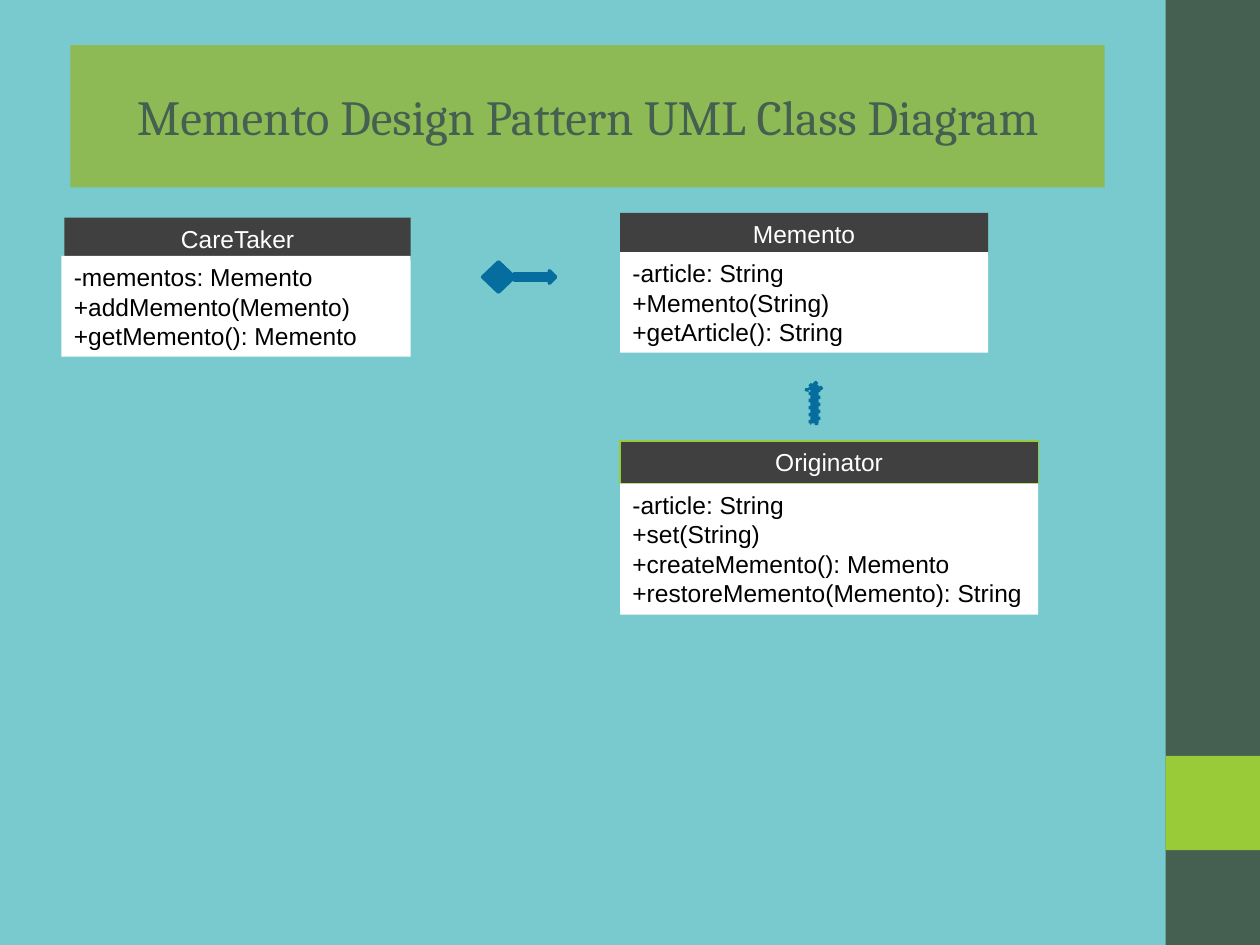
from pptx import Presentation
from pptx.dml.color import RGBColor
from pptx.enum.dml import MSO_LINE
from pptx.enum.shapes import MSO_SHAPE as Shape
from pptx.enum.text import MSO_ANCHOR as Anchor, MSO_AUTO_SIZE as AutoSize, PP_ALIGN as Align
from pptx.util import Cm, Pt

COLORS = {
    "background": "78CACF", "sidebar": "455F51", "accent": "99CB38",
    "title": "8DBA55", "header": "404040", "arrow": "066E9F",
    "white": "FFFFFF", "black": "000000",
}
TITLE = "Memento Design Pattern UML Class Diagram"
CLASSES = [
    {"name": "CareTaker", "head": (1.3, 4.39, 6.98), "body": (1.24, 5.16, 7.04), "border": None,
     "members": ["-mementos: Memento", "+addMemento(Memento)", "+getMemento(): Memento"]},
    {"name": "Memento", "head": (12.5, 4.29, 7.42), "body": (12.5, 5.08, 7.42), "border": None,
     "members": ["-article: String", "+Memento(String)", "+getArticle(): String"]},
    {"name": "Originator", "head": (12.5, 8.89, 8.43), "body": (12.5, 9.75, 8.43), "border": "accent",
     "members": ["-article: String", "+set(String)", "+createMemento(): Memento",
                 "+restoreMemento(Memento): String"]},
]
RELATIONS = [
    (Shape.RIGHT_ARROW, (16, 7.95, 0.84, 0.33), 270, MSO_LINE.ROUND_DOT),
    (Shape.RIGHT_ARROW, (10.36, 5.46, 0.84, 0.25), 0, None),
    (Shape.FLOWCHART_DECISION, (9.73, 5.28, 0.64, 0.61), 0, None),
]
HEAD_HEIGHT, LINE_HEIGHT, BODY_PADDING = 0.86, 0.61, 0.2


def rgb(name):
    return RGBColor.from_string(COLORS[name])


def add_shape(slide, kind, box, fill, line=None, width=0.75):
    sp = slide.shapes.add_shape(kind, *map(Cm, box))
    sp.shadow.inherit = False
    sp.fill.solid()
    sp.fill.fore_color.rgb = rgb(fill)
    if line:
        sp.line.color.rgb = rgb(line)
        sp.line.width = Pt(width)
    else:
        sp.line.fill.background()
    return sp


def write(sp, lines, color, align, size=14, font="Arial", anchor=Anchor.TOP):
    tf = sp.text_frame
    tf.text = "\n".join(lines)
    tf.word_wrap = True
    tf.vertical_anchor = anchor
    for p in tf.paragraphs:
        p.alignment = align
        for r in p.runs:
            r.font.size = Pt(size)
            r.font.name = font
            r.font.color.rgb = rgb(color)


def add_class(slide, item):
    head = add_shape(slide, Shape.RECTANGLE, (*item["head"], HEAD_HEIGHT), "header", item["border"])
    write(head, [item["name"]], "white", Align.CENTER)
    height = BODY_PADDING + LINE_HEIGHT * len(item["members"])
    body = add_shape(slide, Shape.RECTANGLE, (*item["body"], height), "white")
    write(body, item["members"], "black", Align.LEFT)
    for sp in (head, body):
        sp.text_frame.auto_size = AutoSize.SHAPE_TO_FIT_TEXT


def main():
    prs = Presentation()
    prs.slide_width, prs.slide_height = Cm(25.4), Cm(19.05)
    slide = prs.slides.add_slide(prs.slide_layouts[6])
    slide.background.fill.solid()
    slide.background.fill.fore_color.rgb = rgb("background")

    add_shape(slide, Shape.RECTANGLE, (23.5, 0, 1.9, 19.05), "sidebar")
    add_shape(slide, Shape.RECTANGLE, (23.5, 15.24, 1.9, 1.9), "accent")
    title = add_shape(slide, Shape.RECTANGLE, (1.42, 0.91, 20.85, 2.87), "title")
    write(title, [TITLE], "sidebar", Align.CENTER, 28, "Cambria", Anchor.MIDDLE)

    for item in CLASSES:
        add_class(slide, item)

    for kind, box, rotation, dash in RELATIONS:
        sp = add_shape(slide, kind, box, "arrow", "arrow", 2)
        sp.rotation = rotation
        if dash:
            sp.line.dash_style = dash

    prs.save("out.pptx")


if __name__ == "__main__":
    main()
